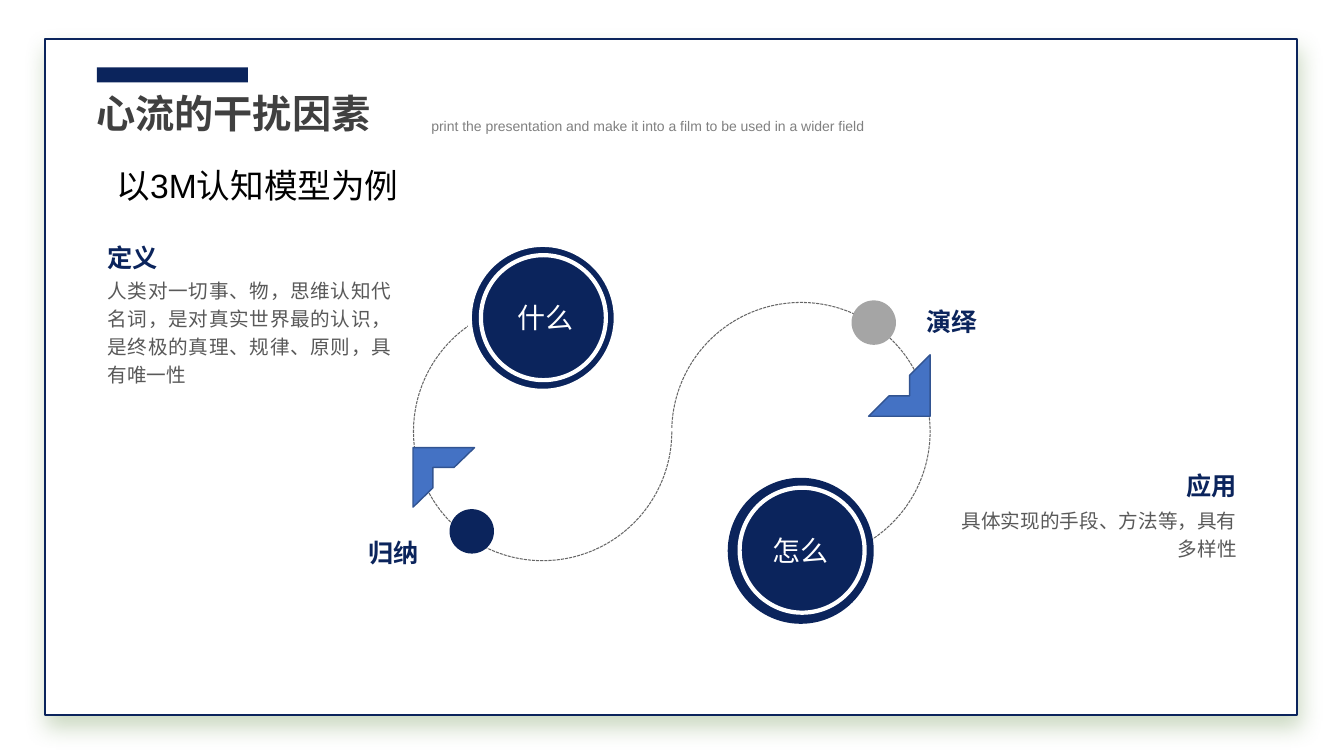
from lxml.etree import SubElement as Sub
from pptx import Presentation
from pptx.dml.color import RGBColor
from pptx.enum.dml import MSO_LINE
from pptx.enum.lang import MSO_LANGUAGE_ID as Lang
from pptx.enum.shapes import MSO_SHAPE as Kind
from pptx.enum.text import MSO_AUTO_SIZE as Fit, PP_ALIGN as Align
from pptx.oxml.ns import qn
from pptx.util import Cm, Pt

NAVY = RGBColor(0x0B, 0x24, 0x5C)
WHITE = RGBColor(0xFF, 0xFF, 0xFF)
BLACK = RGBColor(0x00, 0x00, 0x00)
DARK = RGBColor(0x40, 0x40, 0x40)
BODY = RGBColor(0x59, 0x59, 0x59)
DASH = RGBColor(0x66, 0x66, 0x66)
GRAY = RGBColor(0x80, 0x80, 0x80)
SILVER = RGBColor(0xA5, 0xA5, 0xA5)
BLUE = RGBColor(0x44, 0x72, 0xC4)
EDGE = RGBColor(0x32, 0x54, 0x91)

deck = Presentation()
deck.slide_width, deck.slide_height = Cm(33.87), Cm(19.05)
slide = deck.slides.add_slide(deck.slide_layouts[6])


def draw(kind, box, fill=None, line=None, width=0.75):
    shape = slide.shapes.add_shape(kind, *map(Cm, box))
    shape.shadow.inherit = False
    if fill is None:
        shape.fill.background()
    else:
        shape.fill.solid()
        shape.fill.fore_color.rgb = fill
    if line is None:
        shape.line.fill.background()
    else:
        shape.line.color.rgb = line
        shape.line.width = Pt(width)
    return shape


def write(text, box, style, align=Align.LEFT):
    size, color, bold, space = style
    frame = slide.shapes.add_textbox(*map(Cm, box)).text_frame
    frame.word_wrap = True
    frame.auto_size = Fit.SHAPE_TO_FIT_TEXT
    para = frame.paragraphs[0]
    para.alignment = align
    para.line_spacing = space
    run = para.add_run()
    run.text = text
    form = {"name": "Arial", "size": Pt(size), "bold": bold,
            "language_id": Lang.SIMPLIFIED_CHINESE}
    for key, value in form.items():
        setattr(run.font, key, value)
    run.font.color.rgb = color
    Sub(run.font._element, qn("a:ea"), typeface="Arial")


# Framed card with a soft shadow
card = draw(Kind.RECTANGLE, (1.14, 0.99, 31.55, 17.04), WHITE, NAVY, 1.5)
glow = Sub(card._element.spPr.find(qn("a:effectLst")), qn("a:outerShdw"),
           blurRad=str(Pt(16)), dist=str(Pt(8)), dir=str(80 * 60000),
           algn="ctr", rotWithShape="0")
tint = Sub(glow, qn("a:srgbClr"), val="548235")
Sub(tint, qn("a:alpha"), val="29000")

# Heading
draw(Kind.RECTANGLE, (2.44, 1.7, 3.81, 0.38), NAVY)

# Dashed S-curve
for left, turn, start in ((10.42, 90, 162), (16.93, 270, 162.97)):
    arc = draw(Kind.ARC, (left, 7.62, 6.51, 6.51), line=DASH)
    arc.line.dash_style = MSO_LINE.SQUARE_DOT
    arc.rotation = turn
    arc.adjustments[0] = start
    arc.adjustments[1] = 108

# Dots and ringed circles
for left, top, size, fill, line in (
        (11.33, 12.83, 1.12, NAVY, None),
        (21.46, 7.57, 1.12, SILVER, None),
        (18.34, 12.04, 3.68, NAVY, None),
        (18.64, 12.29, 3.15, NAVY, WHITE),
        (11.84, 6.17, 3.68, NAVY, WHITE),
        (12.12, 6.43, 3.15, NAVY, WHITE)):
    draw(Kind.OVAL, (left, top, size, size), fill, line, 3)

# Texts: size, colour, bold, line spacing
HEAD = (18, NAVY, True, 1.2)
NOTE = (14, BODY, False, 1.2)
CORE = (20, WHITE, False, 1)
FULL, RIGHT = Align.JUSTIFY, Align.RIGHT
write("心流的干扰因素", (2.18, 2.13, 12.42, 1.45), (28, DARK, True, 1))
write("print the presentation and make it into a film to be used in a wider field",
      (10.62, 2.74, 13.56, 0.71), (10, GRAY, False, 1.2))
write("以3M认知模型为例", (2.69, 4.04, 13.56, 1.27), (24, BLACK, False, 1))
write("人类对一切事、物，思维认知代名词，是对真实世界最的认识，是终极的真理、规律、原则，具有唯一性",
      (2.46, 6.78, 7.65, 3.12), NOTE, FULL)
write("具体实现的手段、方法等，具有多样性", (23.77, 12.57, 7.65, 1.68), NOTE, RIGHT)
for text, left, top, align in (
        ("定义", 2.46, 5.82, FULL), ("归纳", 9.04, 13.26, FULL),
        ("演绎", 18.64, 7.44, RIGHT), ("应用", 25.2, 11.58, RIGHT)):
    write(text, (left, top, 6.22, 1.17), HEAD, align)
for text, left, top in (("什么", 12.8, 7.44), ("怎么", 19.23, 13.31)):
    write(text, (left, top, 2.24, 1.12), CORE)

# Corner arrowheads on the curve
for left, top, high, turn in ((10.41, 11.28, 1.5, 0), (21.89, 8.94, 1.55, 180)):
    tip = draw(Kind.HALF_FRAME, (left, top, 1.55, high), BLUE, EDGE, 1)
    tip.rotation = turn

deck.save("out.pptx")
